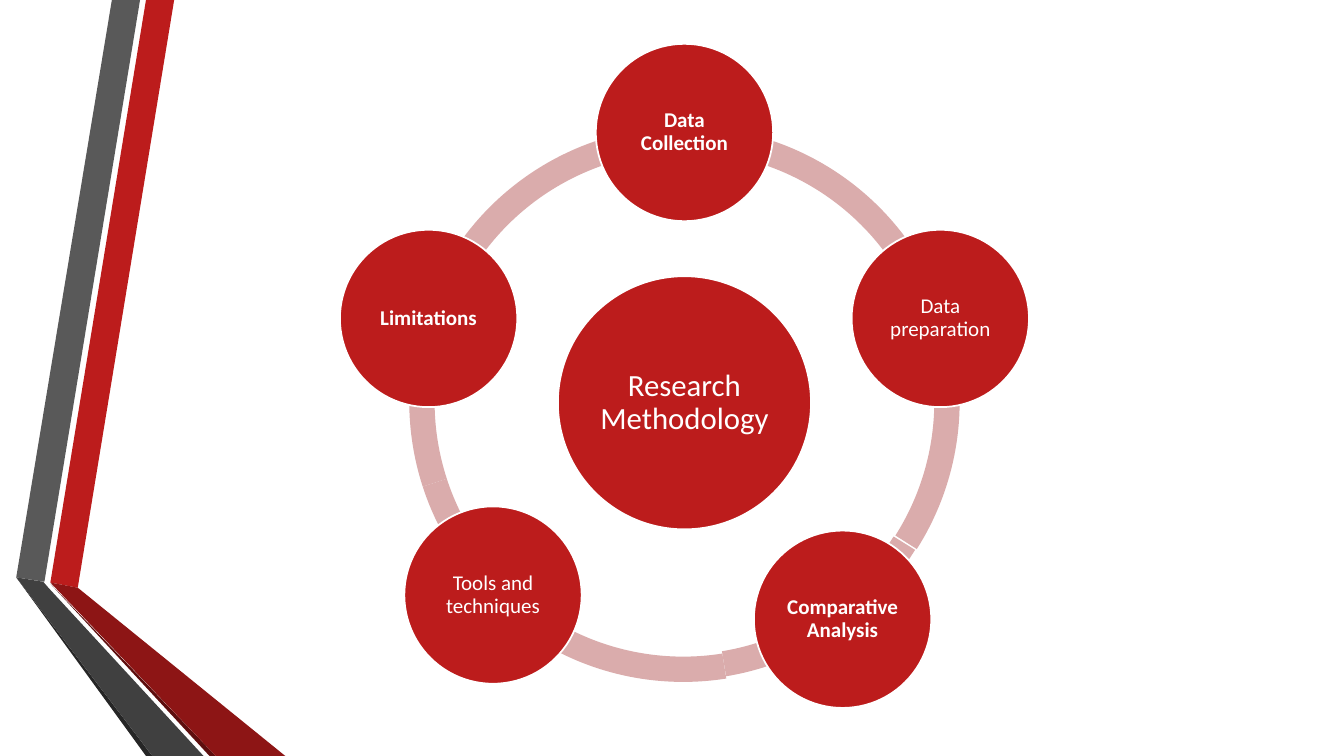
import math

import pptx
import pptx.dml.color
import pptx.enum.shapes
import pptx.enum.text
import pptx.util

Cm = pptx.util.Cm
MSO_SHAPE = pptx.enum.shapes.MSO_SHAPE

COLORS = {
    "red": "BC1C1C",
    "dark_red": "8D1515",
    "deep_red": "5E0E0E",
    "gray": "595959",
    "dark_gray": "404040",
    "black_gray": "262626",
    "pink": "DAACAC",
    "white": "FFFFFF",
}
SLIDE_WIDTH, SLIDE_HEIGHT = 33.87, 19.05

# Colour and outline of each ribbon part, in cm
RIBBONS = [
    ("red", [(1.27, 14.68), (1.96, 14.81), (4.39, 0), (3.68, 0)]),
    ("gray", [(3.53, 0), (2.82, 0), (0.41, 14.55), (1.12, 14.66)]),
    ("black_gray", [(0.41, 14.55), (3.68, 19.05), (3.84, 19.05)]),
    ("deep_red", [(1.27, 14.71), (5.28, 19.05), (5.44, 19.05)]),
    ("dark_red", [(1.27, 14.68), (5.44, 19.05), (7.19, 19.05), (1.96, 14.81)]),
    ("dark_gray", [(5.13, 19.05), (1.22, 14.81), (1.09, 14.66), (0.41, 14.55), (3.84, 19.05)]),
]

# Start angle, end angle, horizontal and vertical shift in cm
ARCS = [
    (118.8, 162, 0, 0),
    (81, 119.43, -0.03, 0.13),
    (31.83, 80.63, -0.08, 0.08),
    (205.2, 32.4, 0, 0),
    (162, 205.2, 0, 0),
]

# Label, bold, angle, distance from the centre in cm
NODES = [
    ("Data Collection", True, -90, 6.78),
    ("Data preparation", False, -18, 6.78),
    ("Comparative Analysis", True, 54, 6.78),
    ("Tools and techniques", False, 134.7, 6.86),
    ("Limitations", True, 198, 6.78),
]


def rgb(name):
    return pptx.dml.color.RGBColor.from_string(COLORS[name])


def paint(shape, color):
    shape.shadow.inherit = False
    shape.fill.solid()
    shape.fill.fore_color.rgb = rgb(color)
    shape.line.fill.background()


def add_ribbons(slide, left, top):
    for color, outline in RIBBONS:
        points = [(Cm(left + x), Cm(top + y)) for x, y in outline]
        builder = slide.shapes.build_freeform(*points[0])
        builder.add_line_segments(points[1:], close=True)
        paint(builder.convert_to_shape(), color)


def add_centered(slide, kind, center_x, center_y, diameter, color):
    """Add a shape of equal width and height around a centre given in cm."""
    shape = slide.shapes.add_shape(
        kind,
        Cm(center_x - diameter / 2),
        Cm(center_y - diameter / 2),
        Cm(diameter),
        Cm(diameter),
    )
    paint(shape, color)
    return shape


def add_circle(slide, center_x, center_y, diameter, label, size, bold=False):
    circle = add_centered(slide, MSO_SHAPE.OVAL, center_x, center_y, diameter, "red")
    circle.line.color.rgb = rgb("white")
    circle.line.width = pptx.util.Pt(1.25)
    frame = circle.text_frame
    frame.word_wrap = True
    frame.vertical_anchor = pptx.enum.text.MSO_ANCHOR.MIDDLE
    frame.margin_left = frame.margin_right = Cm(0.05)
    frame.margin_top = frame.margin_bottom = Cm(0.05)
    frame.text = label
    paragraph = frame.paragraphs[0]
    paragraph.alignment = pptx.enum.text.PP_ALIGN.CENTER
    paragraph.line_spacing = 0.9
    font = paragraph.runs[0].font
    font.name = "Calibri"
    font.size = pptx.util.Pt(size)
    font.bold = bold
    font.color.rgb = rgb("white")


def add_cycle(slide, left, top, width, height):
    """Draw the ring, its hub and its nodes around the middle of the box."""
    center_x, center_y = left + width / 2, top + height / 2
    for start, end, shift_x, shift_y in ARCS:
        arc = add_centered(
            slide, MSO_SHAPE.BLOCK_ARC, center_x + shift_x, center_y + shift_y, 13.87, "pink"
        )
        # Angles are stored in 60000ths of a degree, adjustments in 100000ths
        arc.adjustments[0] = start * 0.6
        arc.adjustments[1] = end * 0.6
        arc.adjustments[2] = 0.046
    add_circle(slide, center_x, center_y + 0.03, 6.38, "Research Methodology", 22)
    for label, bold, angle, distance in NODES:
        direction = math.radians(angle)
        add_circle(
            slide,
            center_x + distance * math.cos(direction),
            center_y + distance * math.sin(direction),
            4.47,
            label,
            15,
            bold,
        )


def main():
    presentation = pptx.Presentation()
    presentation.slide_width = Cm(SLIDE_WIDTH)
    presentation.slide_height = Cm(SLIDE_HEIGHT)
    slide = presentation.slides.add_slide(presentation.slide_layouts[6])
    add_ribbons(slide, 0, 0)
    add_cycle(slide, 8.55, 1.12, 17.4, 18)
    presentation.save("out.pptx")


if __name__ == "__main__":
    main()
